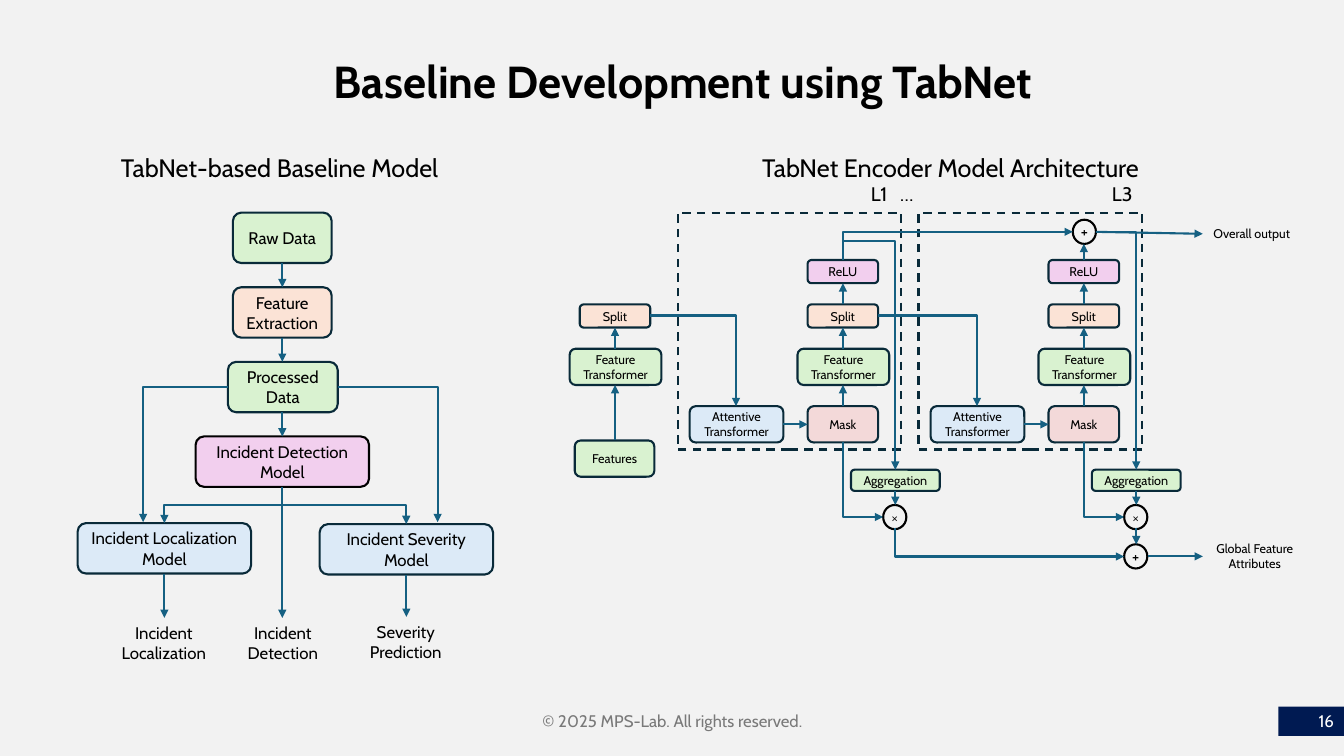
from dataclasses import dataclass

from lxml.etree import SubElement
from pptx import Presentation
from pptx.dml.color import RGBColor
from pptx.enum.dml import MSO_LINE
from pptx.enum.shapes import MSO_CONNECTOR as Link, MSO_SHAPE as Shape
from pptx.enum.text import MSO_ANCHOR as Anchor, MSO_AUTO_SIZE as Fit, PP_ALIGN as Align
from pptx.oxml.ns import qn
from pptx.util import Inches, Pt


@dataclass(frozen=True)
class Theme:
    font: str = "Cabin"
    paper: str = "F2F2F2"
    ink: str = "000000"
    muted: str = "797979"
    navy: str = "001A52"
    white: str = "FFFFFF"
    border: str = "092A39"
    arrow: str = "156082"
    green: str = "D9F2D0"
    peach: str = "FBE3D6"
    pink: str = "F2CFEE"
    blue: str = "DCEAF7"
    red: str = "FF0000"
    title: int = 32
    heading: int = 18
    step: int = 14
    body: int = 12
    symbol: int = 11
    small: int = 9
    stroke: float = 1.5


THEME = Theme()
STEP_GAP = 2.39


def rgb(value):
    return RGBColor.from_string(value)


def write(box, text, size=THEME.body, color=THEME.ink, bold=False,
          align=Align.CENTER, anchor=Anchor.MIDDLE, wrap=True, fit=Fit.NONE):
    frame = box.text_frame
    frame.word_wrap = wrap
    frame.auto_size = fit
    frame.vertical_anchor = anchor
    para = frame.paragraphs[0]
    para.alignment = align
    span = para.add_run()
    span.text = text
    span.font.name = THEME.font
    span.font.size = Pt(size)
    span.font.bold = bold
    span.font.color.rgb = rgb(color)


def add_label(shapes, area, text, **style):
    box = shapes.add_textbox(*map(Inches, area))
    write(box, text, **{"anchor": Anchor.TOP, "fit": Fit.SHAPE_TO_FIT_TEXT, **style})


def add_box(shapes, area, fill=None, line=THEME.border, kind=Shape.ROUNDED_RECTANGLE):
    box = shapes.add_shape(kind, *map(Inches, area))
    box.shadow.inherit = False
    if fill:
        box.fill.solid()
        box.fill.fore_color.rgb = rgb(fill)
    else:
        box.fill.background()
    if line:
        box.line.color.rgb = rgb(line)
        box.line.width = Pt(THEME.stroke)
    else:
        box.line.fill.background()
    return box


def add_node(shapes, area, text, fill, size=THEME.small, line=THEME.border):
    box = add_box(shapes, area, fill, line)
    write(box, text, size=size)
    return box


def add_symbol(shapes, left, top, text):
    circle = add_box(shapes, (left, top, 0.23, 0.24), THEME.paper, THEME.ink, Shape.OVAL)
    write(circle, text, size=THEME.symbol)
    frame = circle.text_frame
    frame.margin_left = frame.margin_right = frame.margin_top = frame.margin_bottom = 0


def add_arrow(shapes, start, end, first=None, bend=None):
    (x1, y1), (x2, y2) = start, end
    if first == "down":
        mid_x, mid_y = (x1 + x2) / 2, (y1 + y2) / 2
        half_x, half_y = (x2 - x1) / 2, (y2 - y1) / 2
        x1, y1, x2, y2 = mid_x - half_y, mid_y + half_x, mid_x + half_y, mid_y - half_x
    kind = Link.ELBOW if first else Link.STRAIGHT
    arrow = shapes.add_connector(kind, *map(Inches, (x1, y1, x2, y2)))
    arrow.line.color.rgb = rgb(THEME.arrow)
    arrow.line.width = Pt(THEME.stroke)
    properties = arrow.element.spPr
    SubElement(properties.find(qn("a:ln")), qn("a:tailEnd"), type="triangle")
    SubElement(properties, qn("a:effectLst"))
    if first == "down":
        arrow.rotation = 90
    geometry = properties.find(qn("a:prstGeom"))
    if first and bend is None:
        geometry.set("prst", "bentConnector2")
    elif first:
        guides = geometry.find(qn("a:avLst"))
        SubElement(guides, qn("a:gd"), name="adj1", fmla=f"val {round(bend * 100000)}")


def add_encoder_step(shapes, shift, split_edge):
    def at(left, *rest):
        return (left + shift, *rest)

    frame = add_box(shapes, at(6.72, 2.11, 2.22, 2.35), kind=Shape.RECTANGLE)
    frame.line.dash_style = MSO_LINE.DASH
    add_node(shapes, at(6.84, 4.03, 0.93, 0.36), "Attentive Transformer", THEME.blue)
    mask = add_node(shapes, at(8.01, 4.03, 0.7, 0.36), "Mask", THEME.red)
    red = mask.element.spPr.find(qn("a:solidFill")).find(qn("a:srgbClr"))
    SubElement(red, qn("a:alpha"), val="10000")
    add_node(shapes, at(7.91, 3.46, 0.91, 0.36), "Feature Transformer", THEME.green)
    add_node(shapes, at(8.01, 3.02, 0.7, 0.23), "Split", THEME.peach)
    add_node(shapes, at(8.01, 2.58, 0.7, 0.23), "ReLU", THEME.pink)
    add_node(shapes, at(8.44, 4.66, 0.88, 0.21), "Aggregation", THEME.green)
    add_symbol(shapes, *at(8.76, 5.01), "×")
    add_arrow(shapes, (split_edge, 3.13), at(7.3, 4.03), "across")
    add_arrow(shapes, at(7.77, 4.21), at(8.01, 4.21))
    for bottom, top in ((4.03, 3.82), (3.46, 3.25), (3.02, 2.81)):
        add_arrow(shapes, at(8.36, bottom), at(8.36, top))
    add_arrow(shapes, at(8.88, 4.87), at(8.88, 5.01))
    add_arrow(shapes, at(8.36, 4.39), at(8.76, 5.13), "down")


def add_encoder(shapes):
    add_node(shapes, (5.7, 4.37, 0.79, 0.36), "Features", THEME.green)
    add_node(shapes, (5.65, 3.46, 0.91, 0.36), "Feature Transformer", THEME.green)
    add_node(shapes, (5.75, 3.02, 0.7, 0.23), "Split", THEME.peach)
    add_arrow(shapes, (6.1, 4.37), (6.1, 3.82))
    add_arrow(shapes, (6.1, 3.46), (6.1, 3.25))
    for index, split_edge in enumerate((6.45, 8.71)):
        add_encoder_step(shapes, index * STEP_GAP, split_edge)
    add_symbol(shapes, 10.64, 2.18, "+")
    add_symbol(shapes, 11.15, 5.4, "+")
    add_arrow(shapes, (8.36, 2.58), (8.88, 4.66), "down", bend=-0.09)
    add_arrow(shapes, (8.36, 2.58), (10.64, 2.3), "down")
    add_arrow(shapes, (10.75, 2.58), (10.75, 2.42))
    add_arrow(shapes, (10.87, 2.3), (11.93, 2.32))
    add_arrow(shapes, (10.87, 2.3), (11.27, 4.66), "across")
    add_arrow(shapes, (11.27, 5.24), (11.27, 5.4))
    add_arrow(shapes, (8.88, 5.24), (11.15, 5.52), "down")
    add_arrow(shapes, (11.39, 5.52), (11.93, 5.52))
    add_label(shapes, (11.93, 5.32, 1.03, 0.4), "Global Feature Attributes", size=THEME.small)
    add_label(shapes, (11.93, 2.19, 0.97, 0.25), "Overall output", size=THEME.small)


def add_baseline(shapes):
    nodes = (
        (2.31, 2.11, 0.98, "Raw Data", THEME.green, THEME.border),
        (2.31, 2.85, 0.98, "Feature Extraction", THEME.peach, THEME.border),
        (2.26, 3.59, 1.09, "Processed Data", THEME.green, THEME.border),
        (1.94, 4.33, 1.72, "Incident Detection Model", THEME.pink, THEME.ink),
        (0.77, 5.19, 1.72, "Incident Localization Model", THEME.blue, THEME.border),
        (3.17, 5.2, 1.72, "Incident Severity Model", THEME.blue, THEME.border),
    )
    for left, top, width, text, fill, line in nodes:
        add_node(shapes, (left, top, width, 0.5), text, fill, THEME.body, line)
    add_arrow(shapes, (2.26, 3.84), (1.42, 5.18), "across")
    add_arrow(shapes, (3.35, 3.84), (4.34, 5.18), "across")
    drops = ((2.8, 2.61, 2.85), (2.8, 3.35, 3.59), (2.8, 4.09, 4.33),
             (2.8, 4.83, 6.13), (1.63, 5.69, 6.13), (4.03, 5.7, 6.12))
    for x, top, bottom in drops:
        add_arrow(shapes, (x, top), (x, bottom))
    for target in ((1.63, 5.19), (4.03, 5.2)):
        add_arrow(shapes, (2.8, 4.83), target, "down", bend=0.5)
    outputs = ((1.08, 6.13, "Incident Localization"), (2.26, 6.13, "Incident Detection"),
               (3.48, 6.12, "Severity Prediction"))
    for left, top, text in outputs:
        add_label(shapes, (left, top, 1.09, 0.5), text)


def add_title(page):
    title = page.shapes.title
    title.left, title.top, title.width, title.height = map(Inches, (1.24, 0.48, 11.07, 0.64))
    write(title, "Baseline Development using TabNet", size=THEME.title, bold=True,
          anchor=Anchor.TOP, fit=Fit.SHAPE_TO_FIT_TEXT)


def main():
    deck = Presentation()
    deck.slide_width, deck.slide_height = Inches(13.33), Inches(7.5)
    page = deck.slides.add_slide(deck.slide_layouts[5])
    page.background.fill.solid()
    page.background.fill.fore_color.rgb = rgb(THEME.paper)
    shapes = page.shapes
    add_title(page)
    add_encoder(shapes.add_group_shape().shapes)
    add_baseline(shapes.add_group_shape().shapes)
    headings = (
        ((7.46, 1.46, 4.06, 0.4), "TabNet Encoder Model Architecture", THEME.heading),
        ((1.1, 1.46, 3.45, 0.4), "TabNet-based Baseline Model", THEME.heading),
        ((8.54, 1.76, 0.41, 0.34), "L1", THEME.step),
        ((10.93, 1.76, 0.41, 0.34), "L3", THEME.step),
        ((8.83, 1.76, 0.37, 0.34), "…", THEME.step),
    )
    for area, text, size in headings:
        add_label(shapes, area, text, size=size, align=Align.LEFT, wrap=False)
    add_label(shapes, (4.42, 6.95, 4.5, 0.4), "© 2025 MPS-Lab. All rights reserved.",
              color=THEME.muted, anchor=Anchor.MIDDLE, fit=Fit.NONE)
    badge = add_box(shapes, (12.68, 7.01, 0.65, 0.29), THEME.navy, None, Shape.RECTANGLE)
    write(badge, "16", color=THEME.white, align=Align.RIGHT)
    deck.save("out.pptx")


if __name__ == "__main__":
    main()
